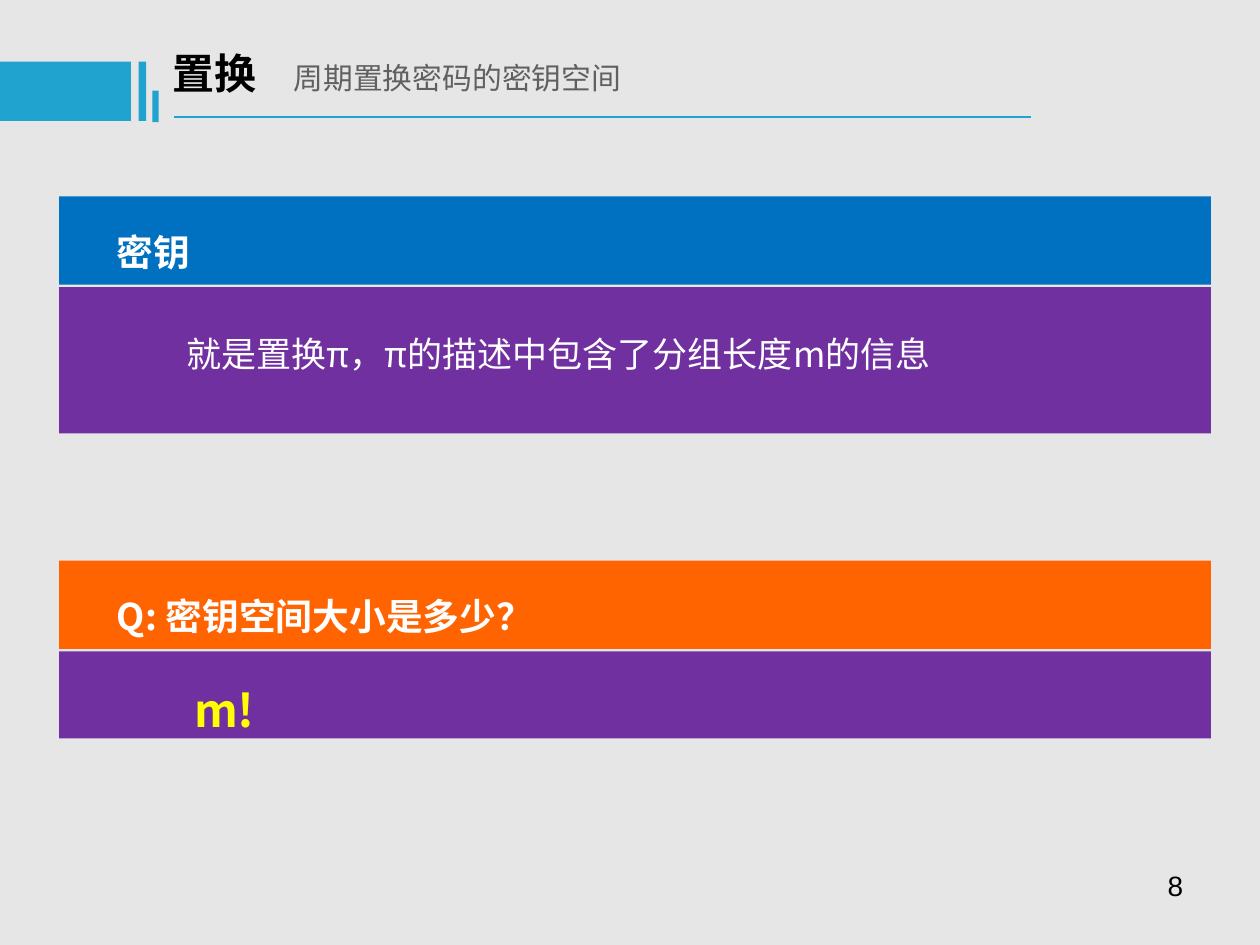
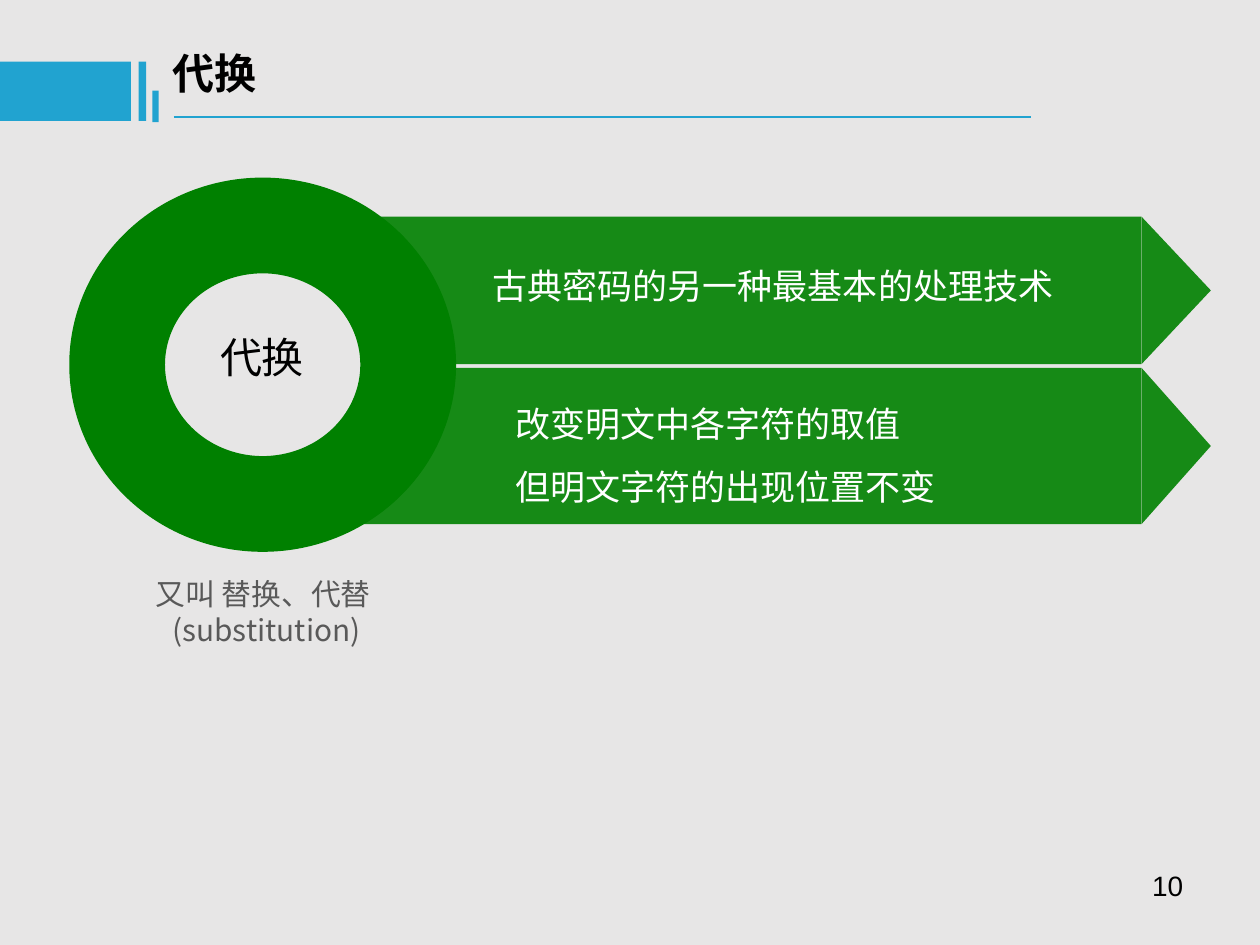
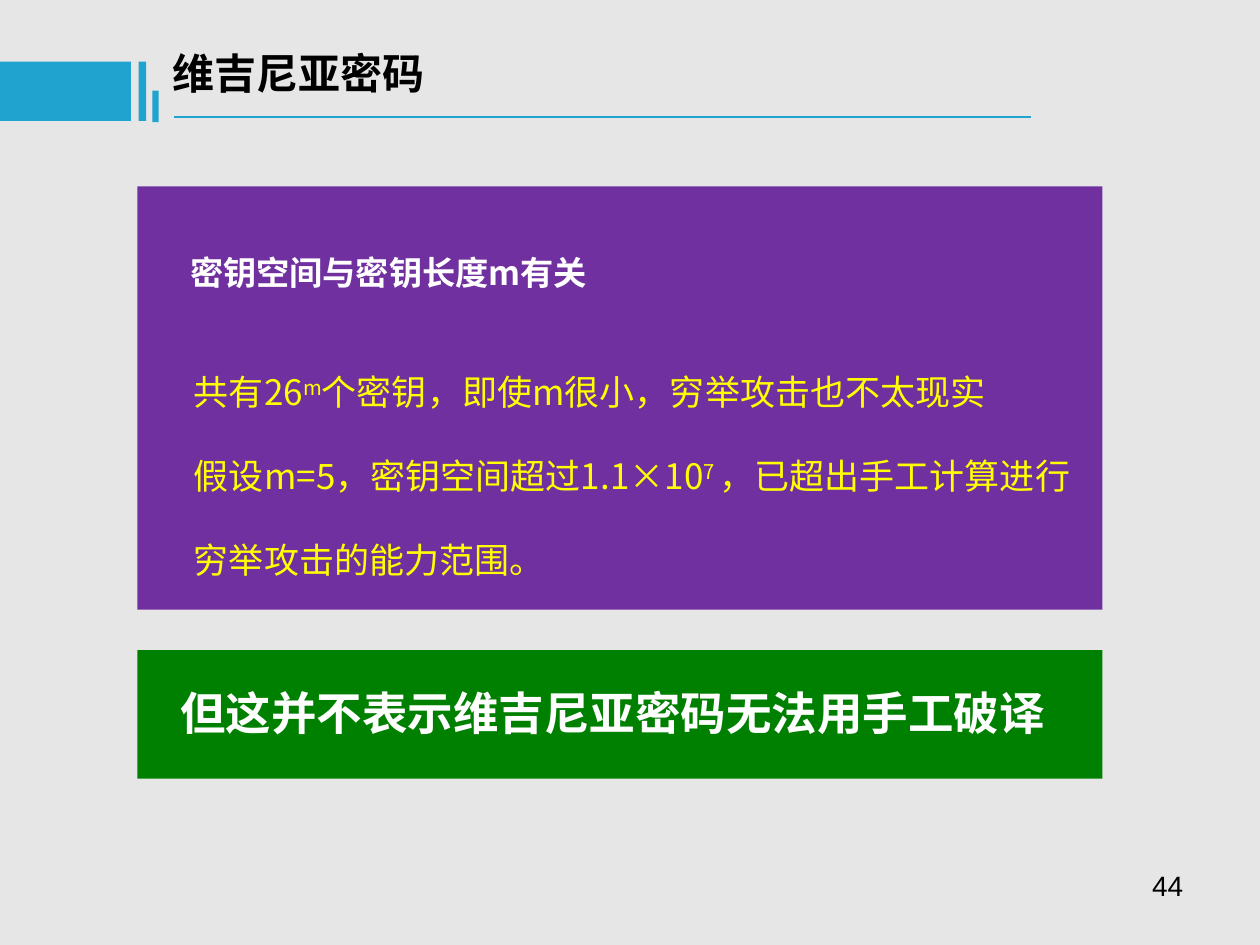
import pptx
import pptx.util
import pptx.dml.color
import pptx.enum.shapes
import pptx.enum.text
import pptx.oxml.ns
import lxml.etree

Inches = pptx.util.Inches
Pt = pptx.util.Pt
RGB = pptx.dml.color.RGBColor
Shape = pptx.enum.shapes.MSO_SHAPE
Align = pptx.enum.text.PP_ALIGN
qn = pptx.oxml.ns.qn

GREY = RGB(0xE7, 0xE6, 0xE6)
CYAN = RGB(0x21, 0xA3, 0xD0)
BLUE = RGB(0x00, 0x70, 0xC0)
PURPLE = RGB(0x70, 0x30, 0xA0)
ORANGE = RGB(0xFF, 0x64, 0x00)
GREEN = RGB(0x00, 0x80, 0x00)
YELLOW = RGB(0xFF, 0xFF, 0x00)
WHITE = RGB(0xFF, 0xFF, 0xFF)
BLACK = RGB(0x00, 0x00, 0x00)
MUTED = RGB(0x60, 0x60, 0x60)
NOTE = RGB(0x59, 0x59, 0x59)
CJK = "Noto Sans CJK SC"


def add_xml(parent, tag, **attrs):
    """Append an XML child with the given attributes."""
    return lxml.etree.SubElement(parent, qn(tag), **attrs)


class Deck:
    """Holds the shared style and the current slide."""

    def __init__(self):
        """Set the page size and the background."""
        self.prs = pptx.Presentation()
        self.prs.slide_width = Inches(10)
        self.prs.slide_height = Inches(7.5)
        fill = self.prs.slide_master.background.fill
        fill.solid()
        fill.fore_color.rgb = GREY

    def page(self, title, number, sub=None):
        """Start a slide with its title, header marks and number."""
        self.slide = self.prs.slides.add_slide(self.prs.slide_layouts[5])
        head = self.slide.shapes.title
        head.left, head.top = Inches(1.27), Inches(0.33)
        head.width, head.height = Inches(6.84), Inches(0.5)
        self.fit(head.text_frame)
        para = head.text_frame.paragraphs[0]
        para.alignment = Align.LEFT
        self.run(para, title + ("\t" if sub else ""), 24, BLACK, bold=True)
        if sub:
            tabs = add_xml(para._p.get_or_add_pPr(), "a:tabLst")
            add_xml(tabs, "a:tab", pos=str(Inches(0.96)), algn="l")
            self.run(para, sub, 17, MUTED, font="Calibri")
        for left, top, width, height in ((0, 0.49, 1.04, 0.47),
                                         (1.1, 0.49, 0.06, 0.47),
                                         (1.21, 0.72, 0.05, 0.25)):
            self.shape(left, top, width, height, CYAN)
        self.rule(1.38, 0.93, 8.18)
        self.text(7.17, 6.83, 2.33, 0.52, [str(number)], 16, BLACK,
                  font="Arial", align=Align.RIGHT, inset=(0.11, 0.06))

    def fit(self, frame, inset=(0.1, 0.05), wrap=True):
        """Set margins, wrapping and top anchor of a text frame."""
        frame.word_wrap = wrap
        frame.auto_size = pptx.enum.text.MSO_AUTO_SIZE.NONE
        frame.vertical_anchor = pptx.enum.text.MSO_ANCHOR.TOP
        frame.margin_left = frame.margin_right = Inches(inset[0])
        frame.margin_top = frame.margin_bottom = Inches(inset[1])

    def run(self, para, text, size, color, bold=False, font=CJK, rise=False):
        """Add a styled run, raised if asked."""
        run = para.add_run()
        run.text = text
        run.font.size = Pt(size)
        run.font.bold = bold
        run.font.color.rgb = color
        run.font.name = font
        props = run.font._element
        add_xml(props, "a:ea", typeface=CJK)
        if rise:
            props.set("baseline", "30000")

    def text(self, left, top, width, height, lines, size, color, bold=False,
             font=CJK, align=Align.LEFT, space=1.0, inset=(0.1, 0.05),
             wrap=True):
        """Add a text box; a line is a string or (plain, raised, plain)."""
        box = self.slide.shapes.add_textbox(
            Inches(left), Inches(top), Inches(width), Inches(height))
        frame = box.text_frame
        self.fit(frame, inset, wrap)
        for i, line in enumerate(lines):
            para = frame.add_paragraph() if i else frame.paragraphs[0]
            para.alignment = align
            para.line_spacing = space
            parts = (line,) if isinstance(line, str) else line
            for j, part in enumerate(parts):
                self.run(para, part, size, color, bold, font, rise=j == 1)

    def shape(self, left, top, width, height, color, kind=Shape.RECTANGLE,
              alpha=None):
        """Add a plain filled shape, with alpha in percent."""
        item = self.slide.shapes.add_shape(
            kind, Inches(left), Inches(top), Inches(width), Inches(height))
        item.shadow.inherit = False
        item.fill.solid()
        item.fill.fore_color.rgb = color
        item.line.fill.background()
        if alpha:
            tint = item._element.spPr.find(".//" + qn("a:srgbClr"))
            add_xml(tint, "a:alpha", val=str(alpha * 1000))
        return item

    def rule(self, left, top, right):
        """Draw the level line under the title."""
        line = self.slide.shapes.add_connector(
            pptx.enum.shapes.MSO_CONNECTOR.STRAIGHT,
            Inches(left), Inches(top), Inches(right), Inches(top))
        line.line.color.rgb = CYAN
        line.line.width = Pt(1.5)
        add_xml(line._element.spPr, "a:effectLst")

    def panel(self, top, height, color, head):
        """Add a heading band with a purple body below it."""
        left, width, band = 0.47, 9.14, 0.7
        self.shape(left, top + band + 0.02, width, height, PURPLE)
        self.shape(left, top, width, band, color)
        self.text(0.83, top + 0.04, 8.42, 0.63, [head], 21, WHITE,
                  bold=True, space=1.5)

    def arrow(self, left, top, height):
        """Add a translucent band that ends in a point."""
        right, tip = 9.06, 0.55
        self.shape(left, top, right - left, height, GREEN, alpha=90)
        point = self.shape(right + (tip - height) / 2,
                           top + (height - tip) / 2, height, tip, GREEN,
                           Shape.ISOSCELES_TRIANGLE, alpha=90)
        point.rotation = 90

    def ring(self, left, top, width, height, thick):
        """Add a ring of the given thickness."""
        ring = self.shape(left, top, width, height, GREEN, Shape.DONUT)
        ring.adjustments[0] = thick / min(width, height)


def key_space(deck):
    """Build the slide on the key space of permutation."""
    deck.page("置换", 8, "周期置换密码的密钥空间")
    deck.panel(4.45, 0.69, ORANGE, "Q: 密钥空间大小是多少？")
    deck.text(1.48, 4.95, 0.65, 0.93, ["m!"], 26, YELLOW, bold=True,
              space=2.0, inset=(0.06, 0.03))
    deck.panel(1.56, 1.16, BLUE, "密钥")
    deck.text(1.38, 2.59, 6.93, 0.77,
              ["就是置换π，π的描述中包含了分组长度m的信息"], 20, WHITE)


def swap(deck):
    """Build the slide on substitution."""
    deck.page("代换", 10)
    deck.text(1.09, 4.53, 2.05, 0.65, ["又叫 替换、代替 ", "(substitution)"],
              17, NOTE, align=Align.CENTER, inset=(0.08, 0.04))
    deck.ring(0.55, 1.41, 3.07, 2.97, 0.76)
    deck.text(1.65, 2.58, 0.86, 0.5, ["代换"], 24, BLACK, font="Calibri",
              align=Align.CENTER, wrap=False)
    deck.arrow(3.02, 1.72, 1.17)
    deck.text(3.55, 2.05, 5.17, 0.44, ["古典密码的另一种最基本的处理技术"],
              20, WHITE, align=Align.CENTER)
    deck.arrow(2.89, 2.92, 1.24)
    deck.text(3.99, 2.98, 4.16, 1.1,
              ["改变明文中各字符的取值", "但明文字符的出现位置不变"],
              20, WHITE, space=1.5)


def cipher(deck):
    """Build the slide on the strength of the cipher."""
    deck.page("维吉尼亚密码", 44)
    left, width = 1.09, 7.66
    deck.shape(left, 5.16, width, 1.02, GREEN)
    deck.text(1.25, 5.39, 7.15, 0.54, [" 但这并不表示维吉尼亚密码无法用手工破译"],
              26, WHITE, bold=True, align=Align.CENTER, wrap=False)
    deck.shape(left, 1.48, width, 3.36, PURPLE)
    deck.text(1.41, 1.95, 6.79, 0.42, ["密钥空间与密钥长度m有关"], 19, WHITE,
              bold=True)
    deck.text(1.48, 2.58, 7.1, 2.73, [
        ("共有26", "m", "个密钥，即使m很小，穷举攻击也不太现实"),
        ("假设m=5，密钥空间超过1.1×10", "7 ",
         "，已超出手工计算进行穷举攻击的能力范围。"),
    ], 20, YELLOW, space=2.0, inset=(0.06, 0.03))


deck = Deck()
key_space(deck)
swap(deck)
cipher(deck)
deck.prs.save("out.pptx")
